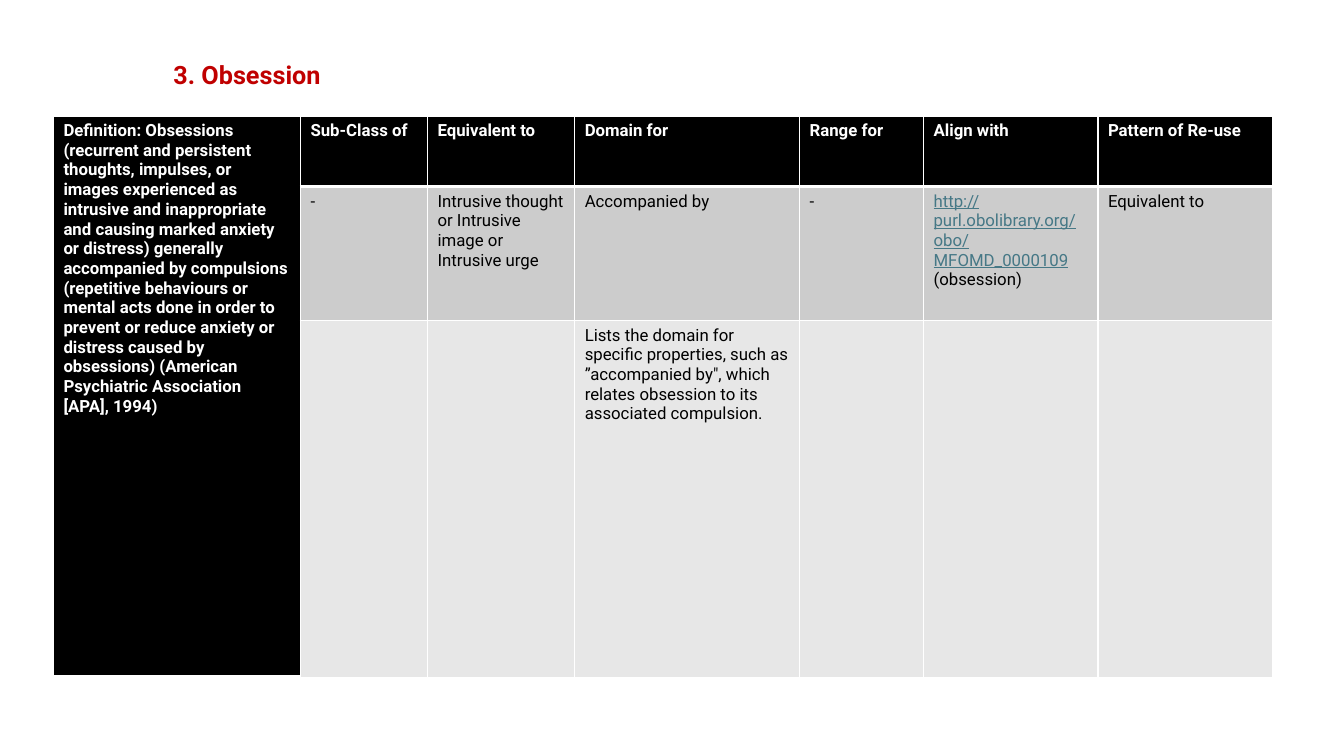
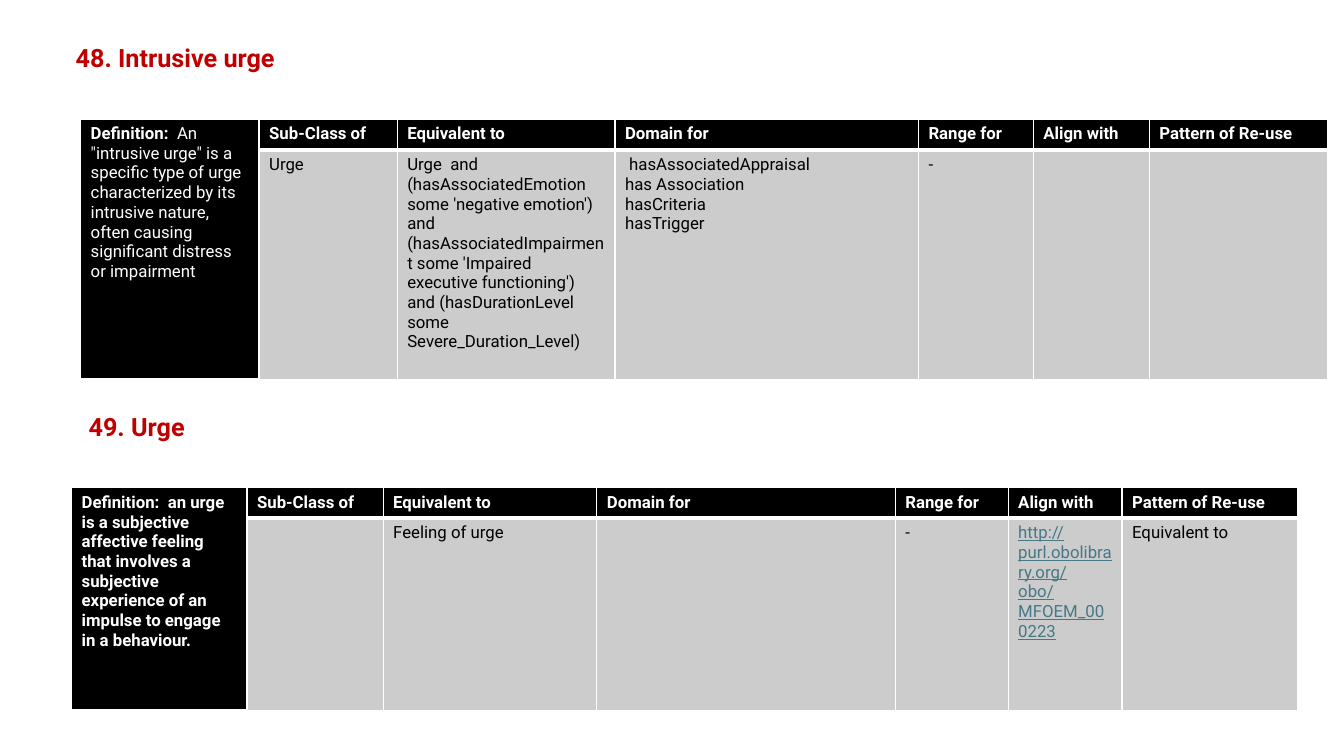
from lxml import etree
from pptx import Presentation
from pptx.dml.color import RGBColor
from pptx.enum.text import MSO_ANCHOR, MSO_AUTO_SIZE, PP_ALIGN
from pptx.oxml.ns import qn
from pptx.util import Inches, Pt

FONT = "Roboto"
RED, BLACK, WHITE, LINK = "C00000", "000000", "FFFFFF", "467886"
BAND_FILLS = ["CCCCCC", "E7E7E7"]
HEADERS = ["Sub-Class of", "Equivalent to", "Domain for", "Range for",
           "Align with", "Pattern of Re-use"]


def rgb(value):
    return RGBColor.from_string(value)


def style_run(r, size, color, bold=False, underline=False):
    r.font.name = FONT
    r.font.size = Pt(size)
    r.font.bold = bold
    r.font.underline = underline
    r.font.color.rgb = rgb(color)


def style_title(sp, text, left, top, width):
    """Place a red heading, in a placeholder or a text box."""
    sp.left, sp.top, sp.width, sp.height = map(Inches, (left, top, width, 0.4))
    tf = sp.text_frame
    tf.text = text
    tf.word_wrap = False
    tf.auto_size = MSO_AUTO_SIZE.SHAPE_TO_FIT_TEXT
    tf.vertical_anchor = MSO_ANCHOR.TOP
    p = tf.paragraphs[0]
    p.alignment = PP_ALIGN.LEFT
    style_run(p.runs[0], 18, RED, bold=True)


def set_borders(cell, top=1, bottom=1):
    """White cell lines; they come before the fill in the cell properties."""
    tc_pr = cell._tc.get_or_add_tcPr()
    widths = {"a:lnL": 1, "a:lnR": 1, "a:lnT": top, "a:lnB": bottom}
    for i, (tag, width) in enumerate(widths.items()):
        ln = etree.Element(qn(tag), w=str(Pt(width)))
        fill = etree.SubElement(ln, qn("a:solidFill"))
        etree.SubElement(fill, qn("a:srgbClr"), val=WHITE)
        tc_pr.insert(i, ln)


def fill_cell(cell, content, fill, color=BLACK, bold=False, top=1, bottom=1):
    """Content is a string, or a list of (text, run style) pairs."""
    cell.fill.solid()
    cell.fill.fore_color.rgb = rgb(fill)
    set_borders(cell, top, bottom)
    tf = cell.text_frame
    base = {"size": 12, "color": color, "bold": bold}
    if isinstance(content, str):
        tf.text = content
        for p in tf.paragraphs:
            for r in p.runs:
                style_run(r, **base)
    else:
        for text, style in content:
            r = tf.paragraphs[0].add_run()
            r.text = text
            style_run(r, **(base | style))


def add_class_table(slide, left, top, cols, heights, definition, rows):
    """Definition down the left, headers on top, banded rows below."""
    frame = slide.shapes.add_table(
        len(heights), len(cols), Inches(left), Inches(top),
        Inches(sum(cols)), Inches(sum(heights)))
    table = frame.table
    for column, width in zip(table.columns, cols):
        column.width = Inches(width)
    for row, height in zip(table.rows, heights):
        row.height = Inches(height)

    # Definition column
    table.cell(0, 0).merge(table.cell(len(heights) - 1, 0))
    fill_cell(table.cell(0, 0), definition, BLACK, WHITE, True, bottom=3)

    # Header row
    for c, header in enumerate(HEADERS, 1):
        fill_cell(table.cell(0, c), header, BLACK, WHITE, True, bottom=3)

    # Value rows
    for n, (row, fill) in enumerate(zip(rows, BAND_FILLS), 1):
        for c, content in enumerate(row, 1):
            fill_cell(table.cell(n, c), content, fill, top=3 if n == 1 else 1)


def link(address, after=""):
    runs = [(address, {"color": LINK, "underline": True})]
    return runs + [(after, {})] if after else runs


def obsession_slide(prs):
    slide = prs.slides.add_slide(prs.slide_layouts[5])
    style_title(slide.shapes.title, "3. Obsession", 1.62, 0.54, 1.74)
    add_class_table(
        slide, 0.53, 1.15,
        [2.45, 1.26, 1.46, 2.23, 1.23, 1.73, 1.73], [0.7, 1.33, 3.54],
        "Definition: Obsessions (recurrent and persistent thoughts, impulses, "
        "or images experienced as intrusive and inappropriate and causing "
        "marked anxiety or distress) generally accompanied by compulsions "
        "(repetitive behaviours or mental acts done in order to prevent or "
        "reduce anxiety or distress caused by obsessions) (American "
        "Psychiatric Association [APA], 1994)",
        [["-", "Intrusive thought or Intrusive image or Intrusive urge",
          "Accompanied by", "-",
          link("http://purl.obolibrary.org/obo/MFOMD_0000109", " (obsession)"),
          "Equivalent to"],
         ["", "",
          "Lists the domain for specific properties, such as ”accompanied "
          "by\", which relates obsession to its associated compulsion.",
          "", "", ""]])


def urge_slide(prs):
    slide = prs.slides.add_slide(prs.slide_layouts[5])

    # Intrusive urge
    style_title(slide.shapes.title, "48. Intrusive urge", 0.65, 0.37, 2.21)
    add_class_table(
        slide, 0.8, 1.18,
        [1.77, 1.37, 2.16, 3.01, 1.14, 1.15, 1.77], [0.31, 2.28],
        [("Definition:  ", {}),
         ("An \"intrusive urge\" is a specific type of urge characterized by "
          "its intrusive nature, often causing significant distress or "
          "impairment", {"bold": False})],
        [["Urge",
          "Urge  and (hasAssociatedEmotion some 'negative emotion') and "
          "(hasAssociatedImpairment some 'Impaired executive functioning') "
          "and (hasDurationLevel some Severe_Duration_Level)",
          " hasAssociatedAppraisal\nhas Association\nhasCriteria\nhasTrigger",
          "-", "", ""]])

    # Urge
    heading = slide.shapes.add_textbox(0, 0, 0, 0)
    style_title(heading, "49. Urge", 0.78, 4.03, 1.18)
    add_class_table(
        slide, 0.71, 4.84,
        [1.74, 1.35, 2.12, 2.96, 1.12, 1.13, 1.74], [0.3, 1.91],
        "Definition:  an urge is a subjective affective feeling that involves "
        "a subjective experience of an impulse to engage in a behaviour.",
        [["", "Feeling of urge", "", "-",
          link("http://purl.obolibrary.org/obo/MFOEM_000223"),
          "Equivalent to"]])


def main():
    prs = Presentation()
    prs.slide_width, prs.slide_height = Inches(13.33), Inches(7.5)
    obsession_slide(prs)
    urge_slide(prs)
    prs.save("out.pptx")


if __name__ == "__main__":
    main()
